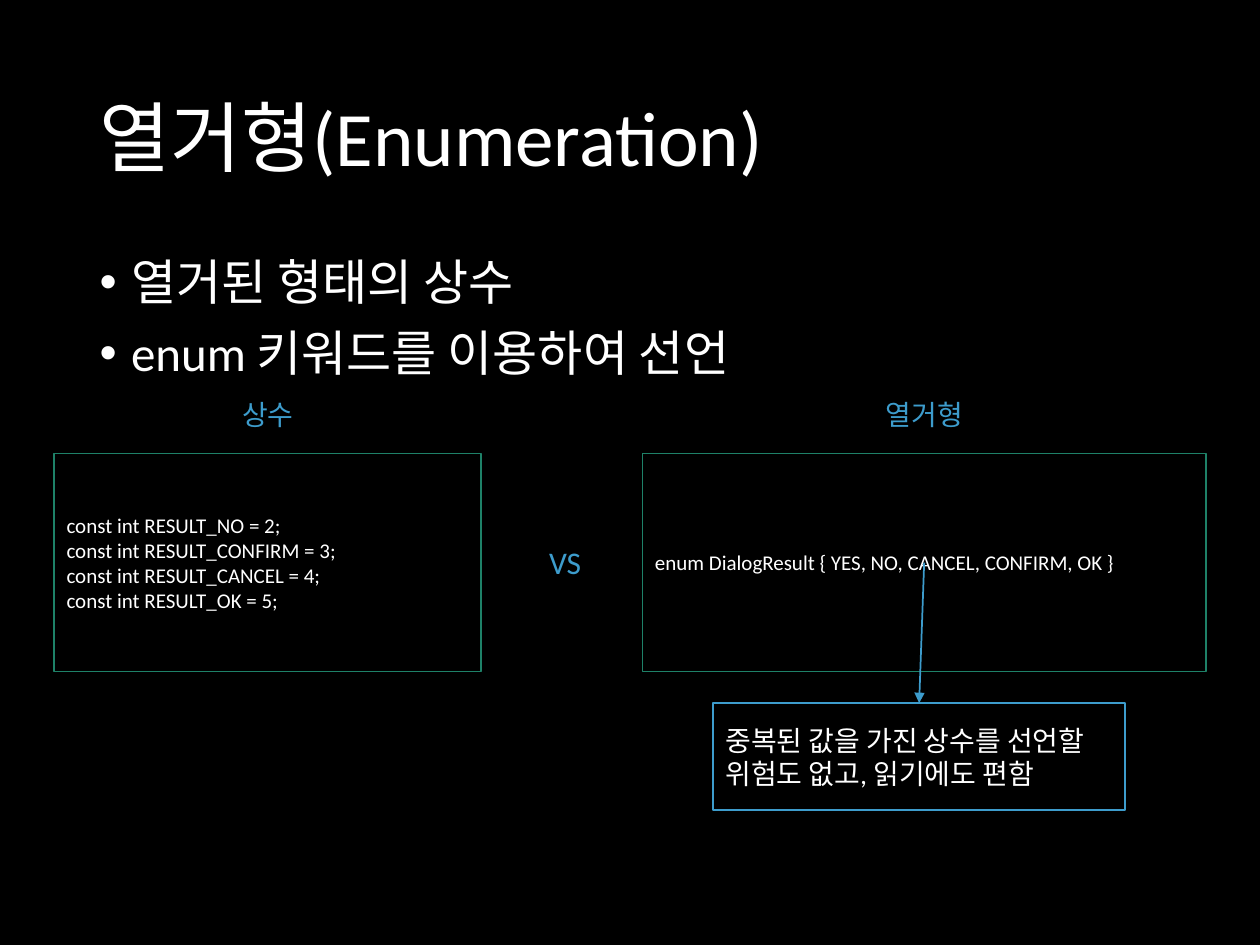
from dataclasses import dataclass

from lxml import etree
from pptx import Presentation
from pptx.dml.color import RGBColor
from pptx.enum.shapes import MSO_CONNECTOR, MSO_SHAPE
from pptx.enum.text import MSO_ANCHOR, MSO_AUTO_SIZE, PP_ALIGN
from pptx.oxml.ns import qn
from pptx.util import Inches, Pt

LEFT, CENTER = PP_ALIGN.LEFT, PP_ALIGN.CENTER
TOP, MIDDLE = MSO_ANCHOR.TOP, MSO_ANCHOR.MIDDLE
RECTANGLE = MSO_SHAPE.RECTANGLE
STRAIGHT = MSO_CONNECTOR.STRAIGHT
NO_AUTOFIT = MSO_AUTO_SIZE.NONE


@dataclass(frozen=True)
class Theme:
    """Colours, font and type sizes of the slide."""
    back: RGBColor = RGBColor(0, 0, 0)
    text: RGBColor = RGBColor(255, 255, 255)
    accent: RGBColor = RGBColor(0x3D, 0x9C, 0xCC)
    frame: RGBColor = RGBColor(0x1E, 0x81, 0x68)
    font: str = "Calibri"
    title: int = 44
    body: int = 28
    versus: int = 18
    label: int = 16
    code: int = 12


THEME = Theme()
MARGIN = 0.69
CONTENT_WIDTH = 10 - 2 * MARGIN
CODE_TOP, CODE_HEIGHT = 3.6, 1.73
CONSTANT_CODE = """const int RESULT_NO = 2;
const int RESULT_CONFIRM = 3;
const int RESULT_CANCEL = 4;
const int RESULT_OK = 5;"""
ENUM_CODE = "enum DialogResult { YES, NO, CANCEL, CONFIRM, OK }"


def write(shape, text, size, color=THEME.text, align=LEFT, anchor=MIDDLE):
    """Put formatted text in a shape, one paragraph per line."""
    frame = shape.text_frame
    frame.text = text
    frame.word_wrap = True
    frame.auto_size = NO_AUTOFIT
    frame.vertical_anchor = anchor
    for para in frame.paragraphs:
        para.alignment = align
        for span in para.runs:
            span.font.name = THEME.font
            span.font.size = Pt(size)
            span.font.color.rgb = color


def place(shape, left, top, width, height):
    """Move and size a placeholder, in inches."""
    shape.left, shape.top = Inches(left), Inches(top)
    shape.width, shape.height = Inches(width), Inches(height)


def fill_title(page, text):
    """Fill the title placeholder."""
    title = page.shapes.title
    place(title, MARGIN, 0.4, CONTENT_WIDTH, 1.45)
    write(title, text, THEME.title)
    title.text_frame.paragraphs[0].line_spacing = 0.9


def fill_bullets(page, lines):
    """Fill the body placeholder with a bulleted list."""
    body = page.placeholders[1]
    place(body, MARGIN, 2, CONTENT_WIDTH, 4.76)
    write(body, "\n".join(lines), THEME.body, anchor=TOP)
    for para in body.text_frame.paragraphs:
        para.line_spacing = 0.9
        para.space_before = Pt(10)
        properties = para._p.get_or_add_pPr()
        properties.set("marL", str(Inches(0.25)))
        properties.set("indent", str(Inches(-0.25)))
        etree.SubElement(properties, qn("a:buFont")).set("typeface", "Arial")
        etree.SubElement(properties, qn("a:buChar")).set("char", "•")


def add_label(page, text, size, left, top, width, height):
    """Add a centred caption in the accent colour."""
    box = page.shapes.add_textbox(*map(Inches, (left, top, width, height)))
    write(box, text, size, THEME.accent, CENTER)


def add_box(page, text, size, line, left, top, width, height):
    """Add an outlined rectangle with text and return it."""
    box = page.shapes.add_shape(
        RECTANGLE, *map(Inches, (left, top, width, height)))
    box.shadow.inherit = False
    box.fill.solid()
    box.fill.fore_color.rgb = THEME.back
    box.line.color.rgb = line
    box.line.width = Pt(1)
    write(box, text, size)
    return box


def add_arrow(page, source, target):
    """Draw an arrow from the centre of one box to the top of another."""
    arrow = page.shapes.add_connector(
        STRAIGHT,
        source.left + source.width // 2, source.top + source.height // 2,
        target.left + target.width // 2, target.top)
    arrow.line.color.rgb = THEME.accent
    arrow.line.width = Pt(1)
    outline = arrow.line._get_or_add_ln()
    etree.SubElement(outline, qn("a:tailEnd")).set("type", "triangle")
    etree.SubElement(arrow._element.spPr, qn("a:effectLst"))


def main():
    """Build the slide that compares constants with an enumeration."""
    deck = Presentation()
    deck.slide_width, deck.slide_height = Inches(10), Inches(7.5)
    page = deck.slides.add_slide(deck.slide_layouts[1])
    page.background.fill.solid()
    page.background.fill.fore_color.rgb = THEME.back

    fill_title(page, "열거형(Enumeration)")
    fill_bullets(page, ["열거된 형태의 상수", "enum 키워드를 이용하여 선언"])

    add_box(page, CONSTANT_CODE, THEME.code, THEME.frame,
            0.43, CODE_TOP, 3.39, CODE_HEIGHT)
    enum_box = add_box(page, ENUM_CODE, THEME.code, THEME.frame,
                       5.1, CODE_TOP, 4.47, CODE_HEIGHT)
    add_label(page, "VS", THEME.versus, 4.13, 4.26, 0.71, 0.4)
    for text, left in (("상수", 0.73), ("열거형", 5.94)):
        add_label(page, text, THEME.label, left, 3.05, 2.79, 0.48)

    benefit = add_box(
        page, "중복된 값을 가진 상수를 선언할 위험도 없고, 읽기에도 편함",
        THEME.label, THEME.accent, 5.66, 5.58, 3.27, 0.85)
    add_arrow(page, enum_box, benefit)
    deck.save("out.pptx")


main()
